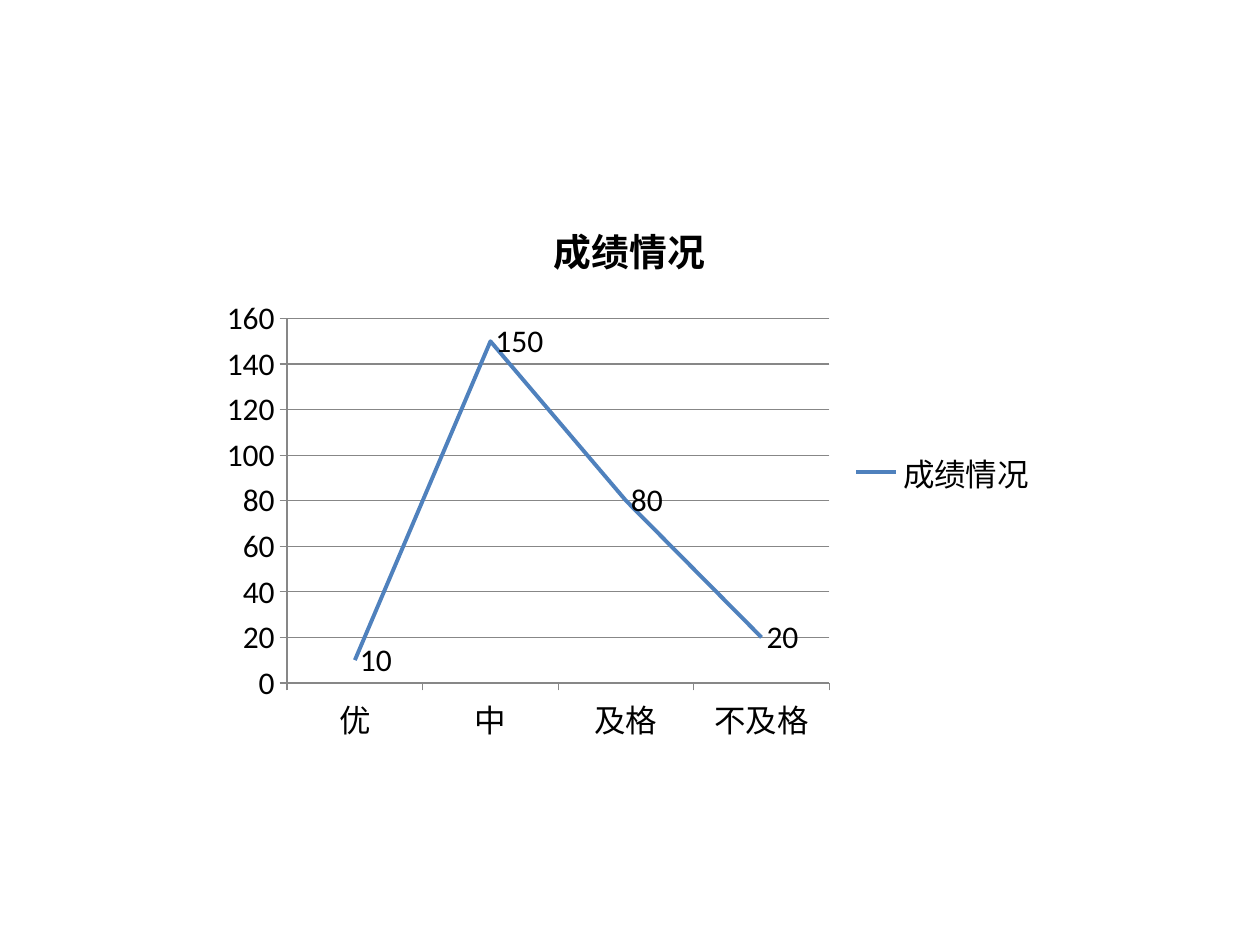
"""Build a slide with a line chart of grade results."""
from pptx import Presentation
from pptx.chart.data import CategoryChartData
from pptx.dml.color import RGBColor
from pptx.enum.chart import XL_CHART_TYPE, XL_LABEL_POSITION, XL_LEGEND_POSITION, XL_MARKER_STYLE, XL_TICK_MARK
from pptx.util import Pt

BLACK = RGBColor(0x00, 0x00, 0x00)
BLUE = RGBColor(0x4F, 0x81, 0xBD)
GREY = RGBColor(0x87, 0x87, 0x87)
FONT = "Calibri"
TITLE = "成绩情况"
GRADES = {"优": 10, "中": 150, "及格": 80, "不及格": 20}


def apply_format(target, **values):
    """Set each format value on the target."""
    for name, value in values.items():
        setattr(target, name, value)


def style_font(font, size, bold=False):
    """Give a font the chart's typeface and colour."""
    apply_format(font, name=FONT, size=Pt(size), bold=bold)
    font.color.rgb = BLACK


def style_line(line, color, width):
    """Give a line its colour and width."""
    line.color.rgb = color
    line.width = Pt(width)


def add_line_chart(page):
    """Add the grade chart and return it."""
    data = CategoryChartData()
    data.categories = list(GRADES)
    data.add_series(TITLE, list(GRADES.values()))
    frame = page.shapes.add_chart(
        XL_CHART_TYPE.LINE, Pt(120), Pt(110), Pt(480), Pt(320), data)
    return frame.chart


def style_title(chart):
    """Write the chart title."""
    chart.has_title = True
    text_frame = chart.chart_title.text_frame
    text_frame.text = TITLE
    style_font(text_frame.paragraphs[0].runs[0].font, 21.6, True)
    chart.chart_title.include_in_layout = False


def style_axes(chart):
    """Format both axes and the horizontal gridlines."""
    for axis in (chart.category_axis, chart.value_axis):
        apply_format(axis, major_tick_mark=XL_TICK_MARK.OUTSIDE,
                     minor_tick_mark=XL_TICK_MARK.NONE)
        style_line(axis.format.line, GREY, 0.75)
    chart.category_axis.has_major_gridlines = False
    apply_format(chart.value_axis, has_major_gridlines=True,
                 minimum_scale=0, maximum_scale=160, major_unit=20)
    style_line(chart.value_axis.major_gridlines.format.line, GREY, 0.75)


def style_series(plot):
    """Format the grade line and its value labels."""
    plot.vary_by_categories = False
    series = plot.series[0]
    series.smooth = False
    series.marker.style = XL_MARKER_STYLE.NONE
    style_line(series.format.line, BLUE, 2.25)
    labels = series.data_labels
    apply_format(labels, show_value=True, position=XL_LABEL_POSITION.RIGHT)
    style_font(labels.font, 18)


def style_legend(chart):
    """Place the legend on the right."""
    chart.has_legend = True
    apply_format(chart.legend, position=XL_LEGEND_POSITION.RIGHT,
                 include_in_layout=False)


def main():
    """Build and save the deck."""
    deck = Presentation()
    apply_format(deck, slide_width=Pt(720), slide_height=Pt(540))
    page = deck.slides.add_slide(deck.slide_layouts[6])
    chart = add_line_chart(page)
    style_font(chart.font, 18)
    style_title(chart)
    style_axes(chart)
    style_series(chart.plots[0])
    style_legend(chart)
    deck.save("out.pptx")


if __name__ == "__main__":
    main()
